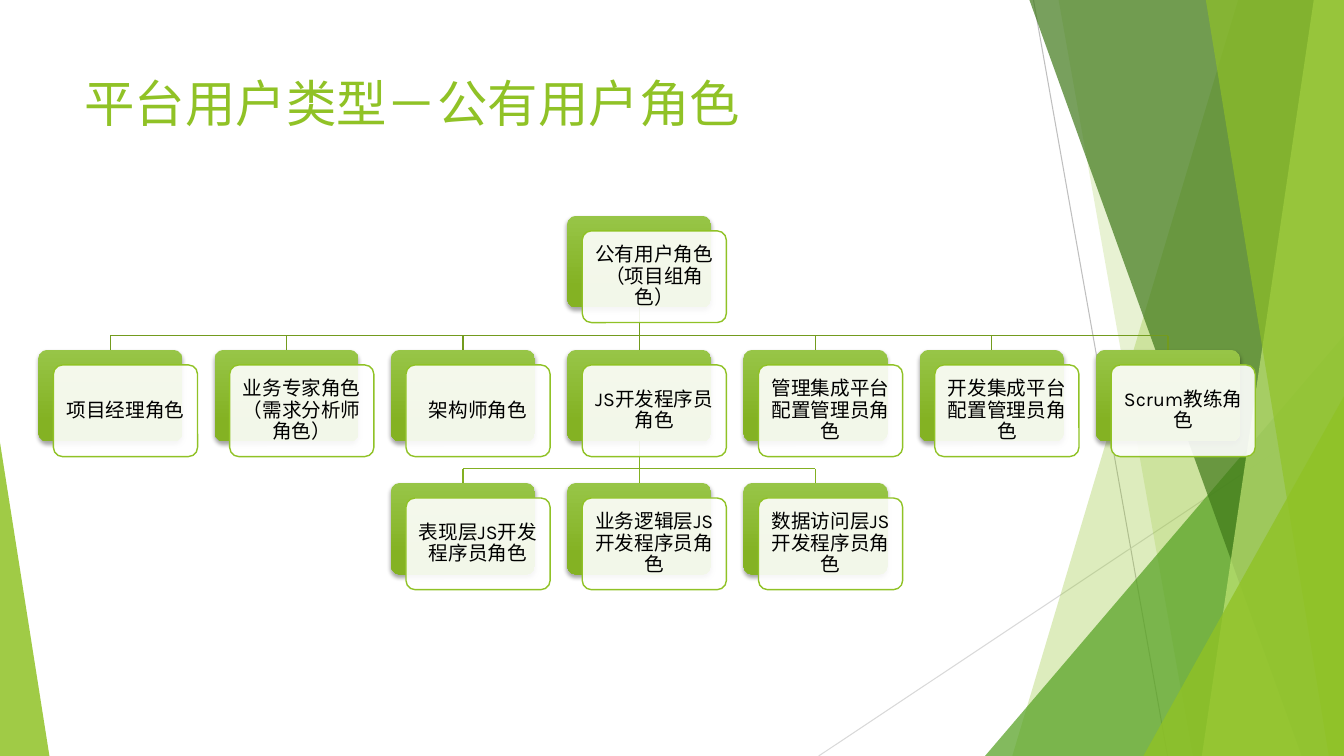
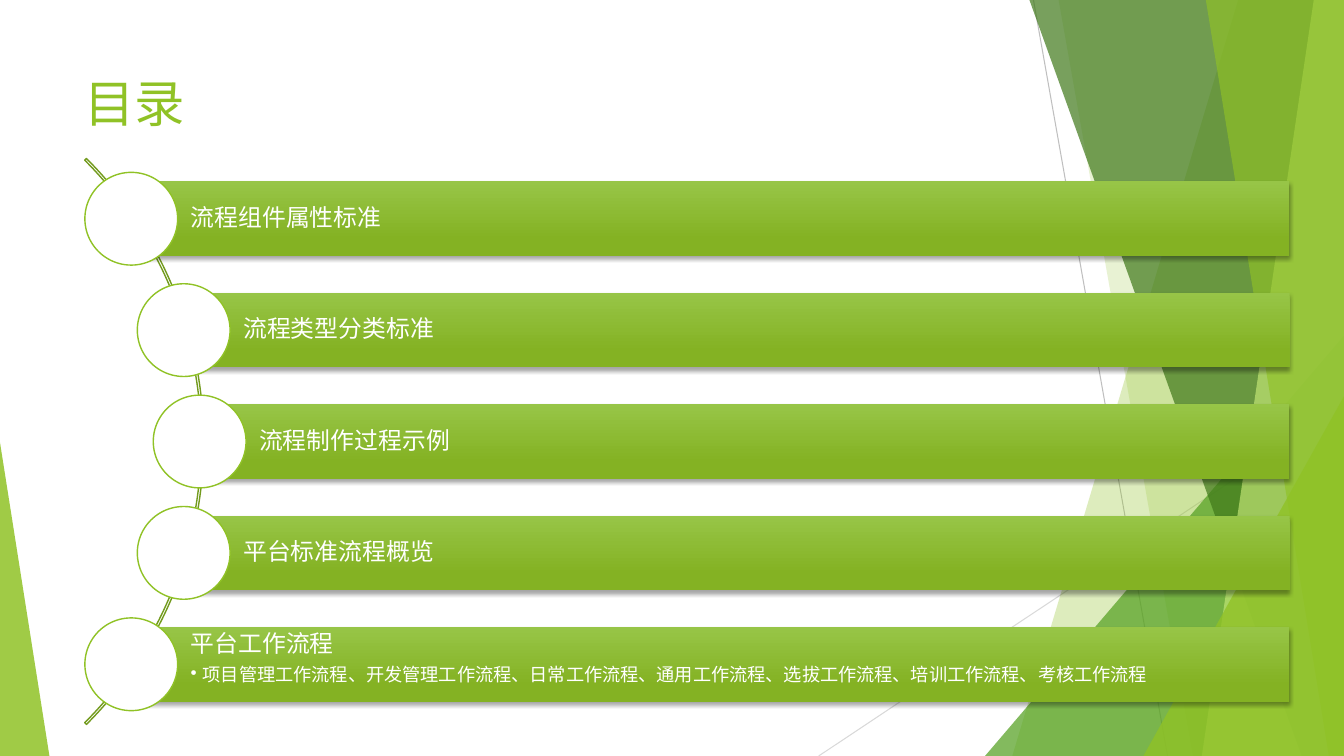
from math import sqrt

from lxml.etree import SubElement
from pptx import Presentation
from pptx.dml.color import RGBColor
from pptx.enum.lang import MSO_LANGUAGE_ID
from pptx.enum.shapes import MSO_CONNECTOR, MSO_SHAPE
from pptx.enum.text import MSO_ANCHOR, PP_ALIGN
from pptx.oxml.ns import qn
from pptx.util import Inches, Pt

W, H = 13.33, 7.5
FONT = "Karla"
COLORS = {
    "green": "90C226", "leaf": "54A021", "forest": "3F7819", "lime": "C0E474",
    "grad_top": "97C547", "grad_bottom": "84B223", "branch": "739B1E", "twig": "83B022",
    "gray": "BFBFBF", "light_gray": "D9D9D9", "white": "FFFFFF", "black": "000000",
}

FACETS = [
    ([(12.28, 0), (W, 0), (W, H), (10.04, H)], "green", 30),
    ([(10.5, 0), (W, 0), (W, H), (11.83, H)], "green", 20),
    ([(W, 3.33), (W, H), (9.77, H)], "leaf", 72),
    ([(10.21, 0), (W, 0), (W, H), (12.91, H)], "forest", 70),
    ([(13.03, 0), (W, 0), (W, H), (11.92, H)], "lime", 70),
    ([(11.96, 0), (W, 0), (W, H), (13.18, H)], "green", 65),
    ([(W, 3.93), (W, H), (11.34, H)], "green", 80),
    ([(0, 4.39), (0.49, H), (0, H)], "green", 85),
]

CARD_W, CARD_H, CARD_SHIFT = 1.43, 0.91, 0.15
COLUMN_X = [0.38 + (10.87 - 0.38) / 6 * i for i in range(7)]
ROW_Y = [2.14, 3.47, 4.79]
ROLES = [
    (3, ["公有用户角色（项目组角色）"]),
    (0, ["项目经理角色", "业务专家角色（需求分析师角色）", "架构师角色", "JS开发程序员角色",
         "管理集成平台配置管理员角色", "开发集成平台配置管理员角色", "Scrum教练角色"]),
    (2, ["表现层JS开发程序员角色", "业务逻辑层JS开发程序员角色", "数据访问层JS开发程序员角色"]),
]

TOPICS = [
    ("流程组件属性标准", ""),
    ("流程类型分类标准", ""),
    ("流程制作过程示例", ""),
    ("平台标准流程概览", ""),
    ("平台工作流程",
     "项目管理工作流程、开发管理工作流程、日常工作流程、通用工作流程、选拔工作流程、培训工作流程、考核工作流程"),
]


def rgb(name):
    return RGBColor.from_string(COLORS[name])


def apply(obj, values):
    for name, value in values.items():
        setattr(obj, name, value)


def set_fill(sp, color, alpha=100):
    sp.fill.solid()
    sp.fill.fore_color.rgb = rgb(color)
    if alpha < 100:
        clr = sp.fill._xPr.find(qn("a:solidFill"))[0]
        SubElement(clr, qn("a:alpha"), val=str(alpha * 1000))


def set_line(sp, color=None, width=1):
    if color:
        sp.line.color.rgb = rgb(color)
        sp.line.width = Pt(width)
    else:
        sp.line.fill.background()


def set_gradient(sp):
    sp.fill.gradient()
    sp.fill.gradient_angle = 270
    for stop, color, position in zip(sp.fill.gradient_stops, ("grad_top", "grad_bottom"), (0, 0.78)):
        stop.color.rgb = rgb(color)
        stop.position = position


def add_shadow(sp):
    effects = sp._element.spPr.find(qn("a:effectLst"))
    shadow = SubElement(effects, qn("a:outerShdw"), blurRad=str(Pt(3)), dist=str(Pt(2)),
                        dir="5400000", algn="ctr", rotWithShape="0")
    clr = SubElement(shadow, qn("a:srgbClr"), val=COLORS["black"])
    SubElement(clr, qn("a:alpha"), val="35000")


def add_preset(s, kind, x, y, w, h, line=None):
    sp = s.shapes.add_shape(kind, Inches(x), Inches(y), Inches(w), Inches(h))
    sp.shadow.inherit = False
    set_line(sp, line)
    return sp


def add_raised(s, kind, x, y, w, h):
    sp = add_preset(s, kind, x, y, w, h)
    set_gradient(sp)
    add_shadow(sp)
    return sp


def add_line(s, x1, y1, x2, y2, color, width=1):
    cx = s.shapes.add_connector(MSO_CONNECTOR.STRAIGHT, Inches(x1), Inches(y1), Inches(x2), Inches(y2))
    set_line(cx, color, width)
    SubElement(cx._element.spPr, qn("a:effectLst"))


def add_facet(s, points, color, alpha):
    start, *rest = [(Inches(x), Inches(y)) for x, y in points]
    builder = s.shapes.build_freeform(*start, scale=1.0)
    builder.add_line_segments(rest, close=True)
    sp = builder.convert_to_shape()
    sp.shadow.inherit = False
    set_fill(sp, color, alpha)
    set_line(sp)


def set_frame(tf, left, other, anchor):
    apply(tf, {"word_wrap": True, "vertical_anchor": anchor, "margin_left": Inches(left),
               "margin_top": Inches(other), "margin_right": Inches(other), "margin_bottom": Inches(other)})


def write(p, text, size, color, **layout):
    apply(p, layout)
    r = p.add_run()
    r.text = text
    apply(r.font, {"name": FONT, "size": Pt(size), "language_id": MSO_LANGUAGE_ID.SIMPLIFIED_CHINESE})
    r.font.color.rgb = rgb(color)


def set_bullet(p):
    pPr = p._p.get_or_add_pPr()
    apply_indent = {"marL": Inches(0.12), "indent": Inches(-0.12)}
    for name, value in apply_indent.items():
        pPr.set(name, str(value))
    SubElement(pPr, qn("a:buChar"), char="•")


def new_slide(prs, title):
    s = prs.slides.add_slide(prs.slide_layouts[6])
    add_line(s, 10.25, 0, 11.58, H, "gray", 0.75)
    add_line(s, W, 4.03, 8.12, H, "light_gray", 0.75)
    for facet in FACETS:
        add_facet(s, *facet)
    tf = s.shapes.add_textbox(Inches(0.74), Inches(0.67), Inches(9.4), Inches(1.44)).text_frame
    set_frame(tf, 0.1, 0.05, MSO_ANCHOR.TOP)
    write(tf.paragraphs[0], title, 36, "green")
    return s


def add_card(s, x, y, text):
    back = add_raised(s, MSO_SHAPE.ROUNDED_RECTANGLE, x, y, CARD_W, CARD_H)
    front = add_preset(s, MSO_SHAPE.ROUNDED_RECTANGLE, x + CARD_SHIFT, y + CARD_SHIFT, CARD_W, CARD_H, "green")
    set_fill(front, "white", 90)
    for sp in (back, front):
        sp.adjustments[0] = 0.1
    set_frame(front.text_frame, 0.06, 0.06, MSO_ANCHOR.MIDDLE)
    write(front.text_frame.paragraphs[0], text, 14, "black", alignment=PP_ALIGN.CENTER, line_spacing=0.9)


def add_branches(s, parent_row, color):
    column, roles = ROLES[parent_row + 1]
    centers = [x + CARD_W / 2 for x in COLUMN_X]
    children = centers[column:column + len(roles)]
    top, bottom = ROW_Y[parent_row] + CARD_H, ROW_Y[parent_row + 1]
    bus = bottom - 0.14
    add_line(s, centers[3], top, centers[3], bus, color)
    add_line(s, children[0], bus, children[-1], bus, color)
    for x in children:
        add_line(s, x, bus, x, bottom, color)


def add_topic(s, x, y, text, detail):
    bar_h, dot = 0.74, 0.92
    bar = add_raised(s, MSO_SHAPE.RECTANGLE, x, y - bar_h / 2, 12.79 - x, bar_h)
    tf = bar.text_frame
    set_frame(tf, 0.59, 0.05, MSO_ANCHOR.TOP if detail else MSO_ANCHOR.MIDDLE)
    layout = {"alignment": PP_ALIGN.LEFT, "line_spacing": 0.9}
    write(tf.paragraphs[0], text, 17, "white", **layout)
    if detail:
        tf.paragraphs[0].space_after = Pt(6)
        p = tf.add_paragraph()
        write(p, detail, 13, "white", level=1, **layout)
        set_bullet(p)
    circle = add_preset(s, MSO_SHAPE.OVAL, x - dot / 2, y - dot / 2, dot, dot, "green")
    set_fill(circle, "white")


def roles_slide(prs):
    s = new_slide(prs, "平台用户类型－公有用户角色")
    add_branches(s, 0, "branch")
    add_branches(s, 1, "twig")
    for y, (column, roles) in zip(ROW_Y, ROLES):
        for x, role in zip(COLUMN_X[column:], roles):
            add_card(s, x, y, role)


def contents_slide(prs):
    s = new_slide(prs, "目录")
    arc = add_preset(s, MSO_SHAPE.BLOCK_ARC, -5.92, 0.41, 7.94, 7.94, "branch")
    arc.fill.background()
    for i, value in enumerate((189, 27, 0.003)):
        arc.adjustments[i] = value
    middle, pitch, radius, center_x = 4.38, (6.59 - 2.17) / 4, 3.94, -1.96
    for i, (text, detail) in enumerate(TOPICS):
        dy = (i - 2) * pitch
        add_topic(s, center_x + sqrt(radius ** 2 - dy ** 2), middle + dy, text, detail)


def main():
    prs = Presentation()
    apply(prs, {"slide_width": Inches(W), "slide_height": Inches(H)})
    roles_slide(prs)
    contents_slide(prs)
    prs.save("out.pptx")


if __name__ == "__main__":
    main()
